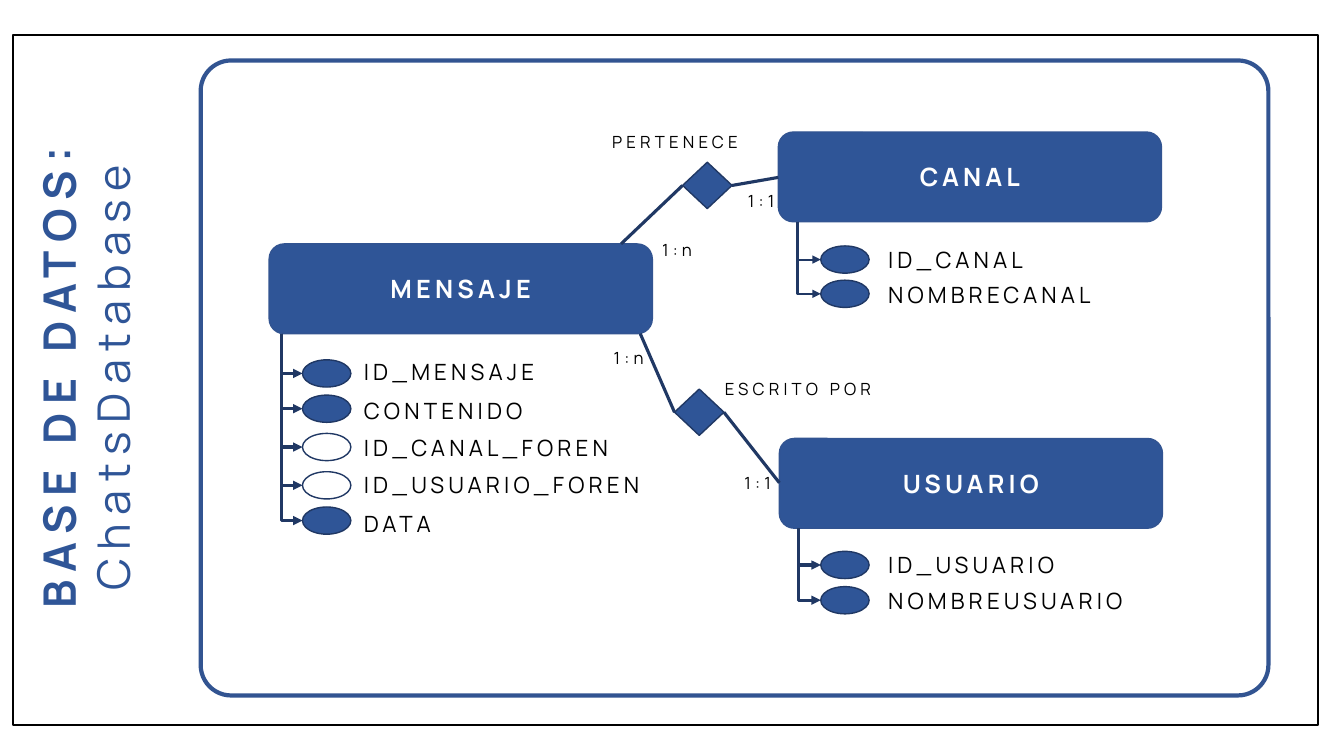
from lxml.etree import SubElement
from pptx import Presentation
from pptx.dml.color import RGBColor
from pptx.enum.shapes import MSO_CONNECTOR, MSO_SHAPE
from pptx.enum.text import MSO_ANCHOR, MSO_AUTO_SIZE, PP_ALIGN
from pptx.oxml.ns import qn
from pptx.util import Inches, Pt

THEME = {
    "font": "Manrope",
    "blue": "2F5597", "edge": "325491", "navy": "203864",
    "white": "FFFFFF", "black": "000000",
    "title": 32, "entity": 18, "attribute": 16, "label": 12,
}

TITLE = [("BASE DE DATOS:", True), ("ChatsDatabase", False)]
TITLE_BOX = (-2.3, 3.16, 6.3, 1.18)

FRAMES = [
    ((0.13, 0.35, 12.94, 6.84), 0, "black", 1.5),
    ((1.99, 0.6, 10.59, 6.3), 0.048, "edge", 3),
]

ENTITIES = [
    {"name": "MENSAJE", "at": (2.67, 2.42), "trunk": 2.79, "oval": 3, "text": 3.51, "weight": 2.25,
     "attributes": [("ID_MENSAJE", 3.57, 3.5, "blue"), ("CONTENIDO", 3.92, 3.89, "blue"),
                    ("ID_CANAL_FOREN", 4.3, 4.26, "white"),
                    ("ID_USUARIO_FOREN", 4.68, 4.63, "white"), ("DATA", 5.03, 5.01, "blue")]},
    {"name": "CANAL", "at": (7.72, 1.31), "trunk": 7.91, "oval": 8.14, "text": 8.71, "weight": 1.5,
     "attributes": [("ID_CANAL", 2.44, 2.39, "blue"), ("NOMBRECANAL", 2.78, 2.74, "blue")]},
    {"name": "USUARIO", "at": (7.73, 4.35), "trunk": 7.92, "oval": 8.14, "text": 8.71, "weight": 2.25,
     "attributes": [("ID_USUARIO", 5.47, 5.42, "blue"), ("NOMBREUSUARIO", 5.82, 5.78, "blue")]},
]

RELATIONS = [
    {"diamond": (6.77, 1.61), "start": (6.16, 2.42), "end": (7.72, 1.76)},
    {"diamond": (6.69, 3.86), "start": (6.35, 3.31), "end": (7.73, 4.79)},
]

LABELS = [
    ("PERTENECE", 5.75, 1.26, 1.89), ("ESCRITO POR", 6.97, 3.71, 1.89),
    ("1:n", 5.29, 3.4, 1.89), ("1:1", 7.23, 1.84, 0.64),
    ("1:1", 6.57, 4.64, 1.89), ("1:n", 5.77, 2.33, 1.89),
]

ENTITY_W, ENTITY_H = 3.8, 0.89
OVAL_W, OVAL_H = 0.48, 0.27
DIAMOND_W, DIAMOND_H = 0.49, 0.46


def color(name):
    return RGBColor.from_string(THEME[name])


def add_box(s, kind, box, fill, line, weight, adj=None):
    sp = s.shapes.add_shape(kind, *map(Inches, box))
    sp.shadow.inherit = False
    sp.fill.solid()
    sp.fill.fore_color.rgb = color(fill)
    sp.line.color.rgb = color(line)
    sp.line.width = Pt(weight)
    if adj is not None:
        sp.adjustments[0] = adj
    return sp


def write(p, text, size, ink="black", bold=False, align=PP_ALIGN.LEFT, spacing=3):
    p.alignment = align
    r = p.add_run()
    r.text = text
    formats = {"name": THEME["font"], "size": Pt(THEME[size]), "bold": bold}
    for key, value in formats.items():
        setattr(r.font, key, value)
    r.font.color.rgb = color(ink)
    r.font._element.set("spc", str(spacing * 100))


def add_text(s, box):
    sp = s.shapes.add_textbox(*map(Inches, box))
    tf = sp.text_frame
    tf.word_wrap = True
    tf.auto_size = MSO_AUTO_SIZE.SHAPE_TO_FIT_TEXT
    return sp


def add_line(s, start, end, weight, kind=MSO_CONNECTOR.STRAIGHT):
    cx = s.shapes.add_connector(kind, *map(Inches, (*start, *end)))
    cx.line.color.rgb = color("navy")
    cx.line.width = Pt(weight)
    SubElement(cx._element.spPr, qn("a:effectLst"))
    return cx


def add_branch(s, start, end, weight):
    (x0, y0), (x1, y1) = start, end
    mid_x, mid_y = (x0 + x1) / 2, (y0 + y1) / 2
    half_w, half_h = (y1 - y0) / 2, (x1 - x0) / 2
    cx = add_line(s, (mid_x - half_w, mid_y - half_h), (mid_x + half_w, mid_y + half_h),
                  weight, MSO_CONNECTOR.ELBOW)
    spPr = cx._element.spPr
    spPr.find(qn("a:prstGeom")).set("prst", "bentConnector2")
    for key, value in {"rot": "16200000", "flipH": "1"}.items():
        spPr.find(qn("a:xfrm")).set(key, value)
    SubElement(spPr.find(qn("a:ln")), qn("a:tailEnd")).set("type", "triangle")


def add_entity(s, entity):
    x, y = entity["at"]
    sp = add_box(s, MSO_SHAPE.ROUNDED_RECTANGLE, (x, y, ENTITY_W, ENTITY_H), "blue", "edge", 1)
    tf = sp.text_frame
    tf.vertical_anchor = MSO_ANCHOR.MIDDLE
    write(tf.paragraphs[0], entity["name"], "entity", "white", True, PP_ALIGN.CENTER)
    for name, oval_y, text_y, fill in entity["attributes"]:
        add_box(s, MSO_SHAPE.OVAL, (entity["oval"], oval_y, OVAL_W, OVAL_H), fill, "navy", 1)
        add_branch(s, (entity["trunk"], y + ENTITY_H),
                   (entity["oval"], oval_y + OVAL_H / 2), entity["weight"])
        sp = add_text(s, (entity["text"], text_y, 4.01, 0.37))
        write(sp.text_frame.paragraphs[0], name, "attribute")


def add_relation(s, relation):
    x, y = relation["diamond"]
    mid = y + DIAMOND_H / 2
    add_box(s, MSO_SHAPE.DIAMOND, (x, y, DIAMOND_W, DIAMOND_H), "blue", "navy", 1)
    add_line(s, relation["start"], (x, mid), 2.25)
    add_line(s, (x + DIAMOND_W, mid), relation["end"], 2.25)


def main():
    prs = Presentation()
    prs.slide_width, prs.slide_height = Inches(13.33), Inches(7.5)
    s = prs.slides.add_slide(prs.slide_layouts[6])
    for box, adj, line, weight in FRAMES:
        add_box(s, MSO_SHAPE.ROUNDED_RECTANGLE, box, "white", line, weight, adj)
    for entity in ENTITIES:
        add_entity(s, entity)
    for relation in RELATIONS:
        add_relation(s, relation)
    for text, x, y, w in LABELS:
        sp = add_text(s, (x, y, w, 0.3))
        write(sp.text_frame.paragraphs[0], text, "label", align=PP_ALIGN.CENTER)
    sp = add_text(s, TITLE_BOX)
    sp.rotation = 270
    tf = sp.text_frame
    for i, (text, bold) in enumerate(TITLE):
        p = tf.add_paragraph() if i else tf.paragraphs[0]
        write(p, text, "title", "blue", bold, PP_ALIGN.CENTER, 6)
    prs.save("out.pptx")


if __name__ == "__main__":
    main()
